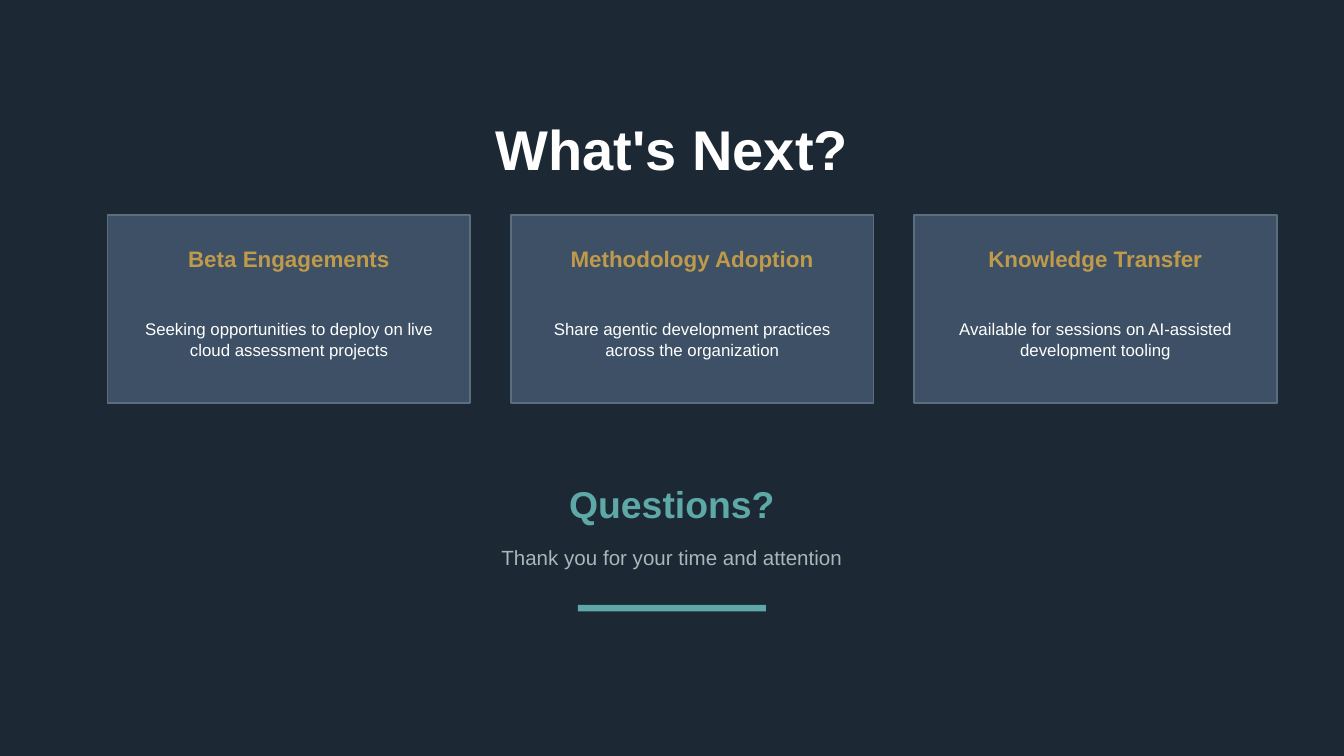
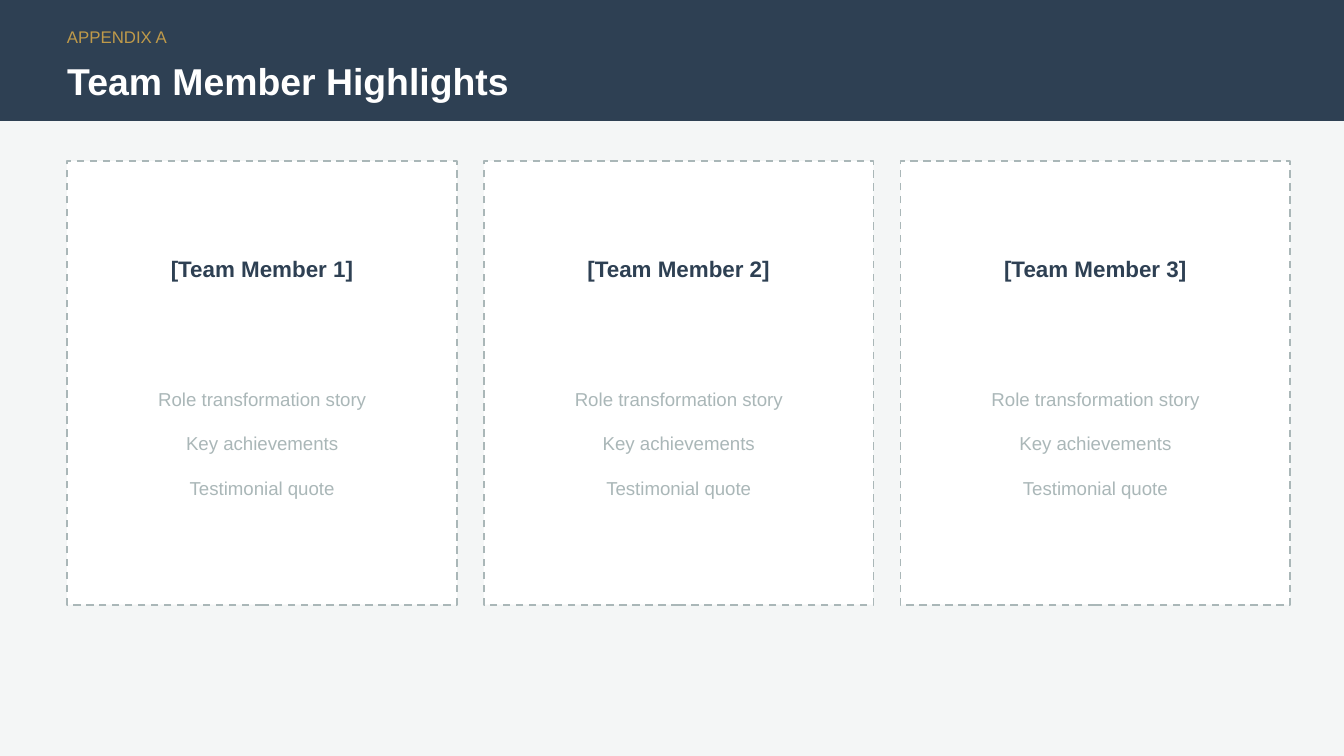
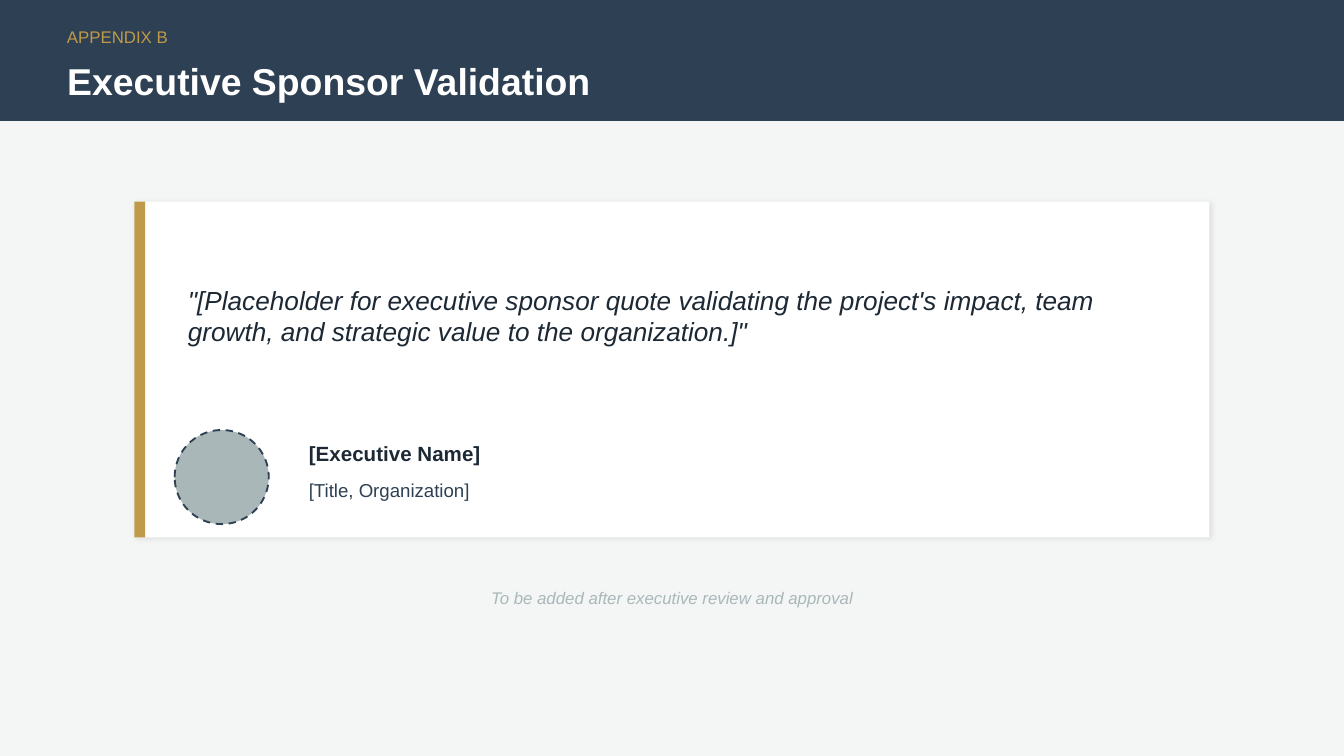
from lxml.etree import SubElement
from pptx import Presentation
from pptx.dml.color import RGBColor
from pptx.enum.dml import MSO_LINE
from pptx.enum.shapes import MSO_SHAPE
from pptx.enum.text import MSO_ANCHOR, MSO_AUTO_SIZE, PP_ALIGN
from pptx.oxml.ns import qn
from pptx.util import Pt

PX = 4572
WIDTH, HEIGHT = 2000, 1125
FONT = "Arial"
TITLE_ONLY = 5

COLORS = {
    "ink": "1C2833",
    "navy": "2E4053",
    "slate": "3D5066",
    "edge": "5A6E80",
    "gold": "BF9A4A",
    "teal": "5EA8A7",
    "mist": "AAB7B8",
    "paper": "F4F6F6",
    "white": "FFFFFF",
    "black": "000000",
}

STYLES = {
    "closing": ("white", {"size": Pt(30), "bold": True}),
    "title": ("white", {"size": Pt(20), "bold": True}),
    "questions": ("teal", {"size": Pt(20), "bold": True}),
    "thanks": ("mist", {"size": Pt(11)}),
    "step": ("gold", {"size": Pt(12), "bold": True}),
    "step_detail": ("white", {"size": Pt(9)}),
    "label": ("gold", {"size": Pt(9)}),
    "member": ("navy", {"size": Pt(12), "bold": True}),
    "topics": ("mist", {"size": Pt(10)}),
    "quote": ("ink", {"size": Pt(14), "italic": True}),
    "name": ("ink", {"size": Pt(11), "bold": True}),
    "role": ("navy", {"size": Pt(10)}),
    "note": ("mist", {"size": Pt(9), "italic": True}),
}

LEFT, CENTER = PP_ALIGN.LEFT, PP_ALIGN.CENTER


def color(name):
    return RGBColor.from_string(COLORS[name])


class Deck:
    def __init__(self):
        self.presentation = Presentation()
        self.presentation.slide_width = WIDTH * PX
        self.presentation.slide_height = HEIGHT * PX
        self.slide = None

    def add_slide(self, background):
        layout = self.presentation.slide_layouts[TITLE_ONLY]
        self.slide = self.presentation.slides.add_slide(layout)
        self.slide.background.fill.solid()
        self.slide.background.fill.fore_color.rgb = color(background)

    def fill_text(self, frame, lines, style, align, gap=0):
        frame.word_wrap = True
        frame.auto_size = MSO_AUTO_SIZE.NONE
        frame.vertical_anchor = MSO_ANCHOR.MIDDLE
        ink, formats = STYLES[style]
        for index, line in enumerate(lines):
            paragraph = frame.add_paragraph() if index else frame.paragraphs[0]
            paragraph.alignment = align
            paragraph.space_before = Pt(gap if index else 0)
            run = paragraph.add_run()
            run.text = line
            run.font.color.rgb = color(ink)
            for attribute, value in {"name": FONT, **formats}.items():
                setattr(run.font, attribute, value)

    def title(self, text, x, y, w, h, style="title", align=LEFT):
        heading = self.slide.shapes.title
        place = {"left": x, "top": y, "width": w, "height": h}
        for attribute, value in place.items():
            setattr(heading, attribute, value * PX)
        self.fill_text(heading.text_frame, [text], style, align)

    def text(self, lines, x, y, w, h, style, align=LEFT, gap=0):
        box = self.slide.shapes.add_textbox(x * PX, y * PX, w * PX, h * PX)
        self.fill_text(box.text_frame, lines, style, align, gap)

    def shape(self, x, y, w, h, fill, line=None, dash=None, kind=MSO_SHAPE.RECTANGLE):
        shape = self.slide.shapes.add_shape(kind, x * PX, y * PX, w * PX, h * PX)
        shape.shadow.inherit = False
        shape.fill.solid()
        shape.fill.fore_color.rgb = color(fill)
        if line:
            shape.line.color.rgb = color(line)
            shape.line.width = Pt(1)
            shape.line.dash_style = dash
        else:
            shape.line.fill.background()
        return shape

    def cast_shadow(self, shape):
        effects = shape.element.spPr.find(qn("a:effectLst"))
        shadow = SubElement(
            effects, qn("a:outerShdw"), blurRad=str(Pt(3)), dist=str(Pt(1)),
            dir="2700000", algn="bl", rotWithShape="0")
        tint = SubElement(shadow, qn("a:srgbClr"), val=COLORS["black"])
        SubElement(tint, qn("a:alpha"), val="10000")

    def appendix(self, label, title):
        self.add_slide("paper")
        band = self.shape(0, 0, WIDTH, 180, "navy")
        self.slide.shapes.title.element.addprevious(band.element)
        self.text([label], 80, 30, 400, 50, "label")
        self.title(title, 80, 80, 1200, 80)

    def step_card(self, x, step, detail):
        self.shape(x, 320, 540, 280, "slate", "edge")
        self.text([step], x, 350, 540, 70, "step", CENTER)
        self.text([detail], x + 30, 430, 480, 150, "step_detail", CENTER)

    def member_card(self, x, member, topics):
        self.shape(x, 240, 580, 660, "white", "mist", MSO_LINE.DASH)
        self.text([member], x, 360, 580, 80, "member", CENTER)
        self.text(topics, x + 40, 480, 500, 360, "topics", CENTER, gap=12)


def build_next_steps(deck):
    deck.add_slide("ink")
    deck.title("What's Next?", 100, 160, 1800, 120, "closing", CENTER)
    steps = {
        "Beta Engagements": "Seeking opportunities to deploy on live cloud assessment projects",
        "Methodology Adoption": "Share agentic development practices across the organization",
        "Knowledge Transfer": "Available for sessions on AI-assisted development tooling",
    }
    for column, (step, detail) in enumerate(steps.items()):
        deck.step_card(160 + 600 * column, step, detail)
    deck.text(["Questions?"], 100, 700, 1800, 100, "questions", CENTER)
    deck.text(["Thank you for your time and attention"], 100, 800, 1800, 60, "thanks", CENTER)
    deck.shape(860, 900, 280, 10, "teal")


def build_team(deck):
    deck.appendix("APPENDIX A", "Team Member Highlights")
    topics = ["Role transformation story", "Key achievements", "Testimonial quote"]
    for column in range(3):
        deck.member_card(100 + 620 * column, f"[Team Member {column + 1}]", topics)


def build_sponsor(deck):
    deck.appendix("APPENDIX B", "Executive Sponsor Validation")
    quote_card = deck.shape(200, 300, 1600, 500, "white")
    deck.cast_shadow(quote_card)
    deck.shape(200, 300, 16, 500, "gold")
    quote = (
        "\"[Placeholder for executive sponsor quote validating the project's impact, "
        "team growth, and strategic value to the organization.]\""
    )
    deck.text([quote], 260, 340, 1500, 260, "quote")
    deck.shape(260, 640, 140, 140, "mist", "navy", MSO_LINE.DASH, MSO_SHAPE.OVAL)
    deck.text(["[Executive Name]"], 440, 640, 600, 70, "name")
    deck.text(["[Title, Organization]"], 440, 700, 600, 60, "role")
    deck.text(["To be added after executive review and approval"], 200, 860, 1600, 60, "note", CENTER)


def main():
    deck = Deck()
    build_next_steps(deck)
    build_team(deck)
    build_sponsor(deck)
    deck.presentation.save("out.pptx")


if __name__ == "__main__":
    main()
